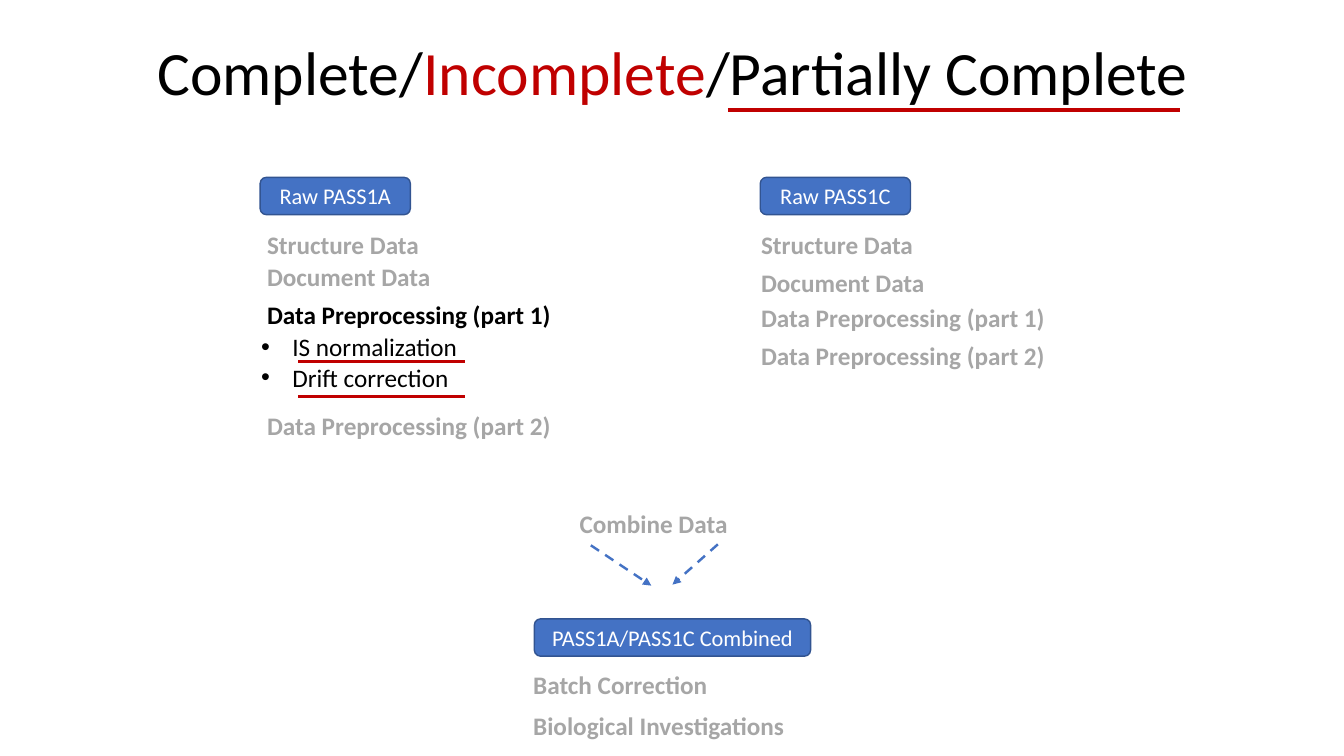
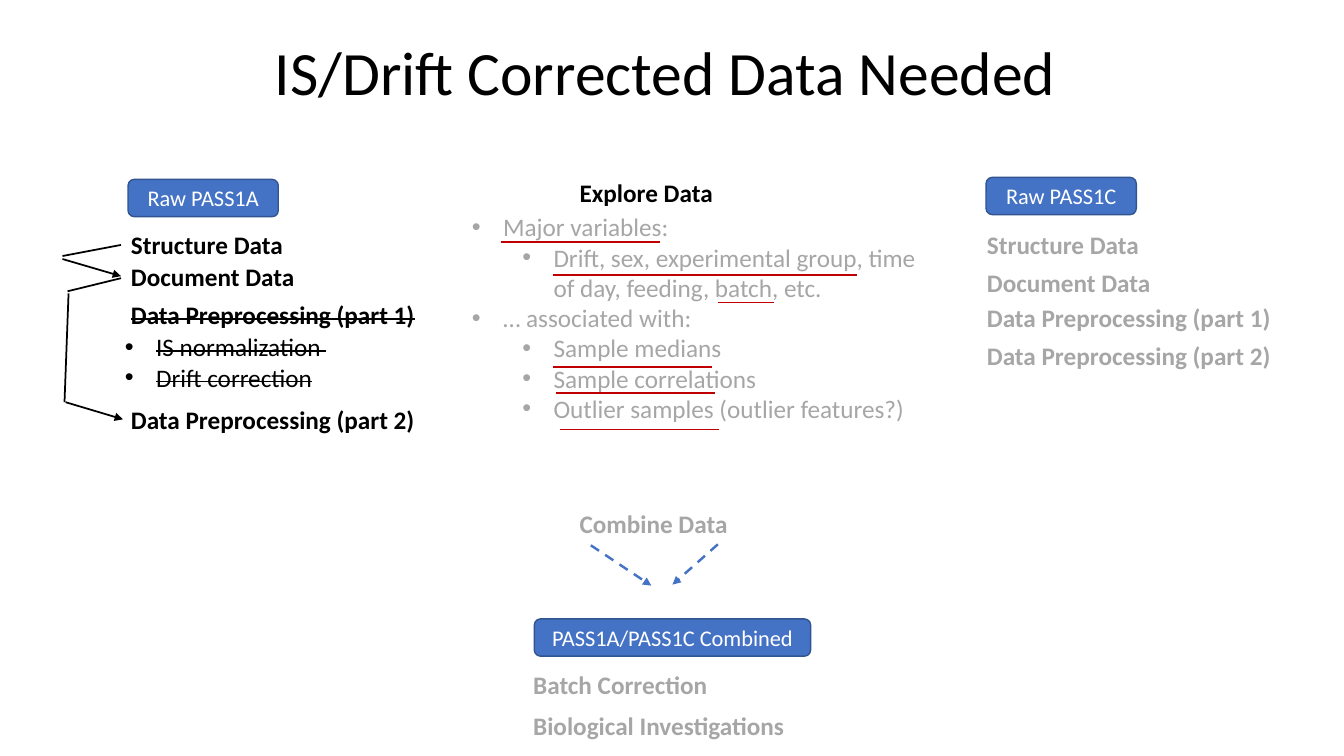
from lxml.etree import SubElement
from pptx import Presentation
from pptx.dml.color import RGBColor
from pptx.enum.dml import MSO_LINE
from pptx.enum.shapes import MSO_CONNECTOR, MSO_SHAPE
from pptx.enum.text import MSO_ANCHOR, MSO_AUTO_SIZE, PP_ALIGN
from pptx.oxml.ns import qn
from pptx.util import Inches, Pt

COLORS = {"black": "000000", "gray": "A6A6A6", "red": "C00000",
          "blue": "4472C4", "outline": "325491", "white": "FFFFFF"}
FONT = "Calibri"
TITLE_BOX = (0.92, 0.02, 11.5, 1.45)
LABEL_SIZE = (3.31, 0.4)
BADGE_HEIGHT = 0.37
LIST_WIDTH = 4.63
BULLET_GAP, LEVEL_STEP = 0.31, 0.5

# How far each step has come: text format by state
STATES = {"todo": {"color": "gray"}, "active": {"color": "black"},
          "struck": {"color": "black", "strike": True}}

STEPS = ["Structure Data", "Document Data",
         "Data Preprocessing (part 1)", "Data Preprocessing (part 2)"]
PASS1C_TOPS = [2.23, 2.6, 2.95, 3.33]
COMBINED = {"badge": ("PASS1A/PASS1C Combined", 5.3, 6.14, 2.74), "left": 5.19,
            "steps": ["Batch Correction", "Biological Investigations"],
            "tops": [6.59, 7], "states": ["todo"] * 2}
COMBINE_LABEL = ("Combine Data", 5.65, 4.99)
COMBINE_ARROWS = [(7.12, 5.4, 6.67, 5.8), (5.86, 5.41, 6.46, 5.81)]


def pass1a(left, badge_left, badge_top, last_top, states):
    return {"badge": ("Raw PASS1A", badge_left, badge_top, 1.49), "left": left,
            "steps": STEPS, "tops": [2.23, 2.54, 2.92, last_top], "states": states}


def pass1c(left):
    return {"badge": ("Raw PASS1C", left + 0.09, 1.76, 1.49), "left": left,
            "steps": STEPS, "tops": PASS1C_TOPS, "states": ["todo"] * 4}


STATUS = {
    "title": [("Complete/", "black"), ("Incomplete", "red"),
              ("/Partially Complete", "black")],
    "columns": [pass1a(2.55, 2.58, 1.76, 4.02, ["todo", "todo", "active", "todo"]),
                pass1c(7.45), COMBINED],
    "list": [(0, "IS normalization"), (0, "Drift correction")],
    "list_box": (2.49, 3.24, LIST_WIDTH, 0.71),
    "list_color": "black",
    # left, right, top, weight
    "underlines": [(7.22, 11.7, 1.09, 2.75), (2.96, 4.61, 3.59, 2), (2.96, 4.61, 3.93, 2)],
}
NEEDED = {
    "title": [("IS/Drift Corrected Data Needed ", "black")],
    "columns": [pass1a(1.2, 1.27, 1.78, 3.96, ["active", "active", "struck", "active"]),
                pass1c(9.69), COMBINED],
    "list": [(0, "Major variables:"),
             (1, "Drift, sex, experimental group, time of day, feeding, batch, etc."),
             (0, "… associated with:"),
             (1, "Sample medians"),
             (1, "Sample correlations"),
             (1, "Outlier samples (outlier features?)")],
    "list_box": (4.58, 2.05, LIST_WIDTH, 2.52),
    "list_color": "gray",
    "underlines": [(4.97, 6.55, 2.4, 1.25), (5.48, 8.5, 2.73, 1.25), (7.12, 7.68, 3, 1.25),
                   (5.48, 7.06, 3.64, 1.25), (5.51, 7.09, 3.9, 1.25), (5.55, 7.13, 4.26, 1.25)],
}
EXPLORE_LABEL = ("Explore Data", 5.65, 1.71)
STRUCK_LIST = [(0, "IS normalization "), (0, "Drift correction")]
STRUCK_LIST_BOX = (1.14, 3.24, LIST_WIDTH, 0.71)
# Path that skips part 1: start, end, arrowhead at the end
DETOUR = [((1.2, 2.43, 0.62, 2.54), False), ((0.62, 2.57, 1.2, 2.74), True),
          ((1.2, 2.76, 0.67, 2.89), False), ((0.68, 2.91, 0.64, 3.99), False),
          ((0.65, 3.99, 1.22, 4.16), True)]


def rgb(name):
    return RGBColor.from_string(COLORS[name])


def inches(values):
    return [Inches(value) for value in values]


def write(paragraph, text, size=18, color="black", bold=False, strike=False, align=None):
    run = paragraph.add_run()
    run.text = text
    run.font.name = FONT
    run.font.size = Pt(size)
    run.font.bold = bold
    run.font.color.rgb = rgb(color)
    if strike:
        run.font._element.set("strike", "sngStrike")
    if align is not None:
        paragraph.alignment = align


def add_text_box(slide, box):
    shape = slide.shapes.add_textbox(*inches(box))
    shape.text_frame.word_wrap = True
    return shape.text_frame


def add_label(slide, text, left, top, **style):
    frame = add_text_box(slide, (left, top, *LABEL_SIZE))
    write(frame.paragraphs[0], text, bold=True, **style)


def add_badge(slide, text, left, top, width):
    badge = slide.shapes.add_shape(MSO_SHAPE.ROUNDED_RECTANGLE,
                                   *inches((left, top, width, BADGE_HEIGHT)))
    badge.shadow.inherit = False
    badge.fill.solid()
    badge.fill.fore_color.rgb = rgb("blue")
    badge.line.color.rgb = rgb("outline")
    badge.line.width = Pt(1)
    frame = badge.text_frame
    frame.word_wrap = False
    frame.vertical_anchor = MSO_ANCHOR.MIDDLE
    write(frame.paragraphs[0], text, size=16, color="white", align=PP_ALIGN.CENTER)


def add_line(slide, ends, color, weight, dashed=False, arrow=False):
    connector = slide.shapes.add_connector(MSO_CONNECTOR.STRAIGHT, *inches(ends))
    connector.line.color.rgb = rgb(color)
    connector.line.width = Pt(weight)
    if dashed:
        connector.line.dash_style = MSO_LINE.DASH
    if arrow:
        SubElement(connector.line._get_or_add_ln(), qn("a:tailEnd"), type="triangle")
    SubElement(connector._element.spPr, qn("a:effectLst"))


def fill_list(frame, items, **style):
    """Write (level, text) items as bulleted paragraphs."""
    for index, (level, text) in enumerate(items):
        paragraph = frame.add_paragraph() if index else frame.paragraphs[0]
        paragraph.level = level
        paragraph.line_spacing = 1.0
        paragraph.space_before = paragraph.space_after = Pt(0)
        properties = paragraph._p.get_or_add_pPr()
        properties.set("marL", str(Inches(BULLET_GAP + level * LEVEL_STEP)))
        properties.set("indent", str(-Inches(BULLET_GAP)))
        SubElement(properties, qn("a:buFont"), typeface="Arial")
        SubElement(properties, qn("a:buChar"), char="•")
        write(paragraph, text, **style)


def place(shape, box):
    shape.left, shape.top, shape.width, shape.height = inches(box)


def add_column(slide, column):
    add_badge(slide, *column["badge"])
    for text, top, state in zip(column["steps"], column["tops"], column["states"]):
        add_label(slide, text, column["left"], top, **STATES[state])


def add_workflow_slide(presentation, layout, content):
    slide = presentation.slides.add_slide(layout)
    title = slide.shapes.title.text_frame.paragraphs[0]
    title.line_spacing = 0.9
    for text, color in content["title"]:
        write(title, text, size=44, color=color, align=PP_ALIGN.CENTER)

    body = slide.placeholders[1]
    place(body, content["list_box"])
    body.text_frame.auto_size = MSO_AUTO_SIZE.NONE
    fill_list(body.text_frame, content["list"], color=content["list_color"])

    for column in content["columns"]:
        add_column(slide, column)
    add_label(slide, *COMBINE_LABEL, color="gray")
    for ends in COMBINE_ARROWS:
        add_line(slide, ends, "blue", 1.75, dashed=True, arrow=True)
    for left, right, top, weight in content["underlines"]:
        add_line(slide, (left, top, right, top), "red", weight)
    return slide


def main():
    presentation = Presentation()
    presentation.slide_width, presentation.slide_height = inches((13.33, 7.5))
    layout = presentation.slide_layouts[1]
    layout_title = layout.placeholders[0]
    place(layout_title, TITLE_BOX)
    layout_title.text_frame.vertical_anchor = MSO_ANCHOR.MIDDLE
    layout_title.text_frame.auto_size = MSO_AUTO_SIZE.NONE

    add_workflow_slide(presentation, layout, STATUS)

    needed = add_workflow_slide(presentation, layout, NEEDED)
    add_label(needed, *EXPLORE_LABEL)
    fill_list(add_text_box(needed, STRUCK_LIST_BOX), STRUCK_LIST, strike=True)
    for ends, arrow in DETOUR:
        add_line(needed, ends, "black", 1.25, arrow=arrow)

    presentation.save("out.pptx")


if __name__ == "__main__":
    main()
